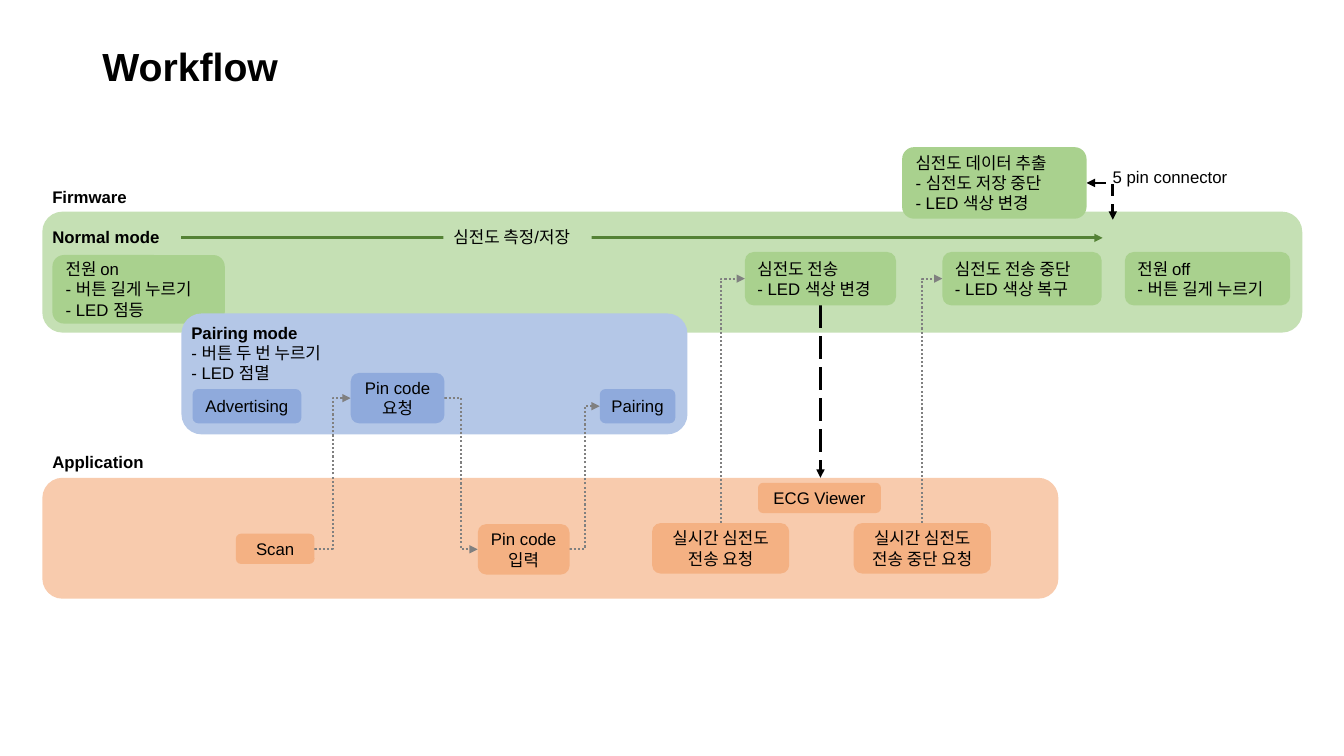
from dataclasses import dataclass
from typing import NamedTuple

from lxml.etree import SubElement
from pptx import Presentation
from pptx.dml.color import RGBColor
from pptx.enum.dml import MSO_LINE
from pptx.enum.shapes import MSO_CONNECTOR, MSO_SHAPE
from pptx.enum.text import MSO_ANCHOR, MSO_AUTO_SIZE, PP_ALIGN
from pptx.oxml.ns import qn
from pptx.util import Pt

COLORS = {
    "text": "000000", "firmware": "C5E0B4", "firmware step": "A9D18E",
    "pairing": "B4C7E7", "pairing step": "8FAADC",
    "application": "F8CBAD", "application step": "F4B183",
    "measuring": "548235", "request": "808080",
}
MARGIN = 30.24
BAND_HEIGHT = 86.4
LABEL_HEIGHT = 21.6
ARROW_Y = 169.92


@dataclass(frozen=True)
class Box:
    """A filled box, with points where links attach."""
    left: float
    top: float
    width: float
    height: float
    color: str
    lines: tuple[str, ...] = ()
    align: PP_ALIGN = PP_ALIGN.CENTER

    @property
    def west(self):
        return self.left, self.top + self.height / 2

    @property
    def east(self):
        return self.left + self.width, self.top + self.height / 2

    @property
    def north(self):
        return self.left + self.width / 2, self.top

    @property
    def south(self):
        return self.left + self.width / 2, self.top + self.height


class Label(NamedTuple):
    """Free text whose first line may be bold."""
    left: float
    top: float
    width: float
    height: float
    lines: tuple[str, ...]
    bold_lines: int = 1


class LinkStyle(NamedTuple):
    """Look of a link."""
    color: str
    width: float
    dash: MSO_LINE | None = None
    both_ends: bool = False


class Link(NamedTuple):
    """An arrow between two points; route is straight, step, across or up."""
    begin: tuple[float, float]
    end: tuple[float, float]
    style: LinkStyle
    route: str = "straight"


def color_of(name: str) -> RGBColor:
    """Look up a named colour."""
    return RGBColor.from_string(COLORS[name])


def write_text(shape, lines, *, size=12, bold_lines=0, align=PP_ALIGN.LEFT,
               anchor=MSO_ANCHOR.MIDDLE, wrap=True, spacing=1.0) -> None:
    """Write one paragraph for each line."""
    frame = shape.text_frame
    frame.word_wrap = wrap
    frame.auto_size = MSO_AUTO_SIZE.NONE if wrap else MSO_AUTO_SIZE.SHAPE_TO_FIT_TEXT
    frame.vertical_anchor = anchor
    for index, line in enumerate(lines):
        paragraph = frame.paragraphs[0] if index == 0 else frame.add_paragraph()
        paragraph.alignment = align
        paragraph.line_spacing = spacing
        run = paragraph.add_run()
        run.text = line
        run.font.name = "Arial"
        run.font.size = Pt(size)
        run.font.bold = index < bold_lines
        run.font.color.rgb = color_of("text")


def draw_box(slide, box: Box, preset=MSO_SHAPE.ROUNDED_RECTANGLE, **text_format) -> None:
    """Draw a borderless filled box."""
    shape = slide.shapes.add_shape(
        preset, Pt(box.left), Pt(box.top), Pt(box.width), Pt(box.height))
    shape.shadow.inherit = False
    shape.fill.solid()
    shape.fill.fore_color.rgb = color_of(box.color)
    shape.line.fill.background()
    write_text(shape, box.lines, align=box.align, **text_format)


def draw_label(slide, label: Label) -> None:
    """Draw a text box that fits its text."""
    shape = slide.shapes.add_textbox(
        Pt(label.left), Pt(label.top), Pt(label.width), Pt(label.height))
    write_text(shape, label.lines, bold_lines=label.bold_lines,
               anchor=MSO_ANCHOR.TOP, wrap=False)


def draw_link(slide, link: Link) -> None:
    """Draw an arrow along its route."""
    (x1, y1), (x2, y2) = link.begin, link.end
    if link.route == "up":  # a quarter turn swaps the two extents
        x, y = (x1 + x2) / 2, (y1 + y2) / 2
        run, rise = abs(y2 - y1) / 2, abs(x2 - x1) / 2
        x1, y1, x2, y2 = x + run, y + rise, x - run, y - rise
    kind = MSO_CONNECTOR.STRAIGHT if link.route == "straight" else MSO_CONNECTOR.ELBOW
    connector = slide.shapes.add_connector(kind, Pt(x1), Pt(y1), Pt(x2), Pt(y2))
    connector.line.color.rgb = color_of(link.style.color)
    connector.line.width = Pt(link.style.width)
    if link.style.dash is not None:
        connector.line.dash_style = link.style.dash
    properties = connector.element.spPr
    if link.route in ("across", "up"):
        properties.find(qn("a:prstGeom")).set("prst", "bentConnector2")
    if link.route == "up":
        properties.find(qn("a:xfrm")).set("rot", "5400000")
    line = properties.find(qn("a:ln"))
    if link.style.both_ends:
        SubElement(line, qn("a:headEnd"), type="triangle")
    SubElement(line, qn("a:tailEnd"), type="triangle")
    SubElement(properties, qn("a:effectLst"))


def firmware_step(left, top, width, height, *lines: str) -> Box:
    """Describe a left-aligned firmware step."""
    return Box(left, top, width, height, "firmware step", lines, PP_ALIGN.LEFT)


application = Box(MARGIN, 341.28, 725.76, BAND_HEIGHT, "application")
firmware = Box(MARGIN, 151.2, 900, BAND_HEIGHT, "firmware")
pairing_mode = Box(129.6, 223.92, 361.44, BAND_HEIGHT, "pairing")
measuring = Box(316.8, 158.4, 105.84, LABEL_HEIGHT, "firmware",
                ("심전도 측정/저장",), PP_ALIGN.LEFT)

power_on = firmware_step(37.44, 182.16, 123.12, 48.96,
                         "전원 on", "- 버튼 길게 누르기", "- LED 점등")
send = firmware_step(532.08, 180, 108, 38.16, "심전도 전송", "- LED 색상 변경")
stop = firmware_step(673.2, 180, 113.76, 38.16, "심전도 전송 중단", "- LED 색상 복구")
power_off = firmware_step(803.52, 180, 118.08, 38.16, "전원 off", "- 버튼 길게 누르기")
extract = firmware_step(644.4, 105.12, 131.76, 51.12, "심전도 데이터 추출",
                        "- 심전도 저장 중단", "- LED 색상 변경")

advertising = Box(137.52, 277.92, 77.76, 24.48, "pairing step", ("Advertising",))
pin_request = Box(250.56, 266.4, 66.96, 36, "pairing step", ("Pin code", "요청"))
pairing = Box(428.4, 277.92, 54, 24.48, "pairing step", ("Pairing",))

scan = Box(168.48, 381.24, 56.16, 21.6, "application step", ("Scan",))
pin_entry = Box(341.28, 374.4, 65.52, 36, "application step", ("Pin code", "입력"))
send_request = Box(465.84, 373.68, 97.92, 36, "application step",
                   ("실시간 심전도", "전송 요청"))
stop_request = Box(609.84, 373.68, 97.92, 36, "application step",
                   ("실시간 심전도", "전송 중단 요청"))
viewer = Box(541.44, 344.88, 87.84, 21.6, "application step", ("ECG Viewer",))

STEPS = (send, stop, power_off, advertising, pin_request, pairing, scan,
         pin_entry, send_request, stop_request, viewer, extract)
LABELS = (
    Label(MARGIN, 158.4, 95.04, LABEL_HEIGHT, ("Normal mode",)),
    Label(129.6, 226.8, 118.08, 51.12,
          ("Pairing mode", "- 버튼 두 번 누르기", "- LED 점멸")),
    Label(MARGIN, 129.6, 68.4, LABEL_HEIGHT, ("Firmware",)),
    Label(MARGIN, 318.96, 80.64, LABEL_HEIGHT, ("Application",)),
    Label(787.68, 115.92, 97.2, LABEL_HEIGHT, ("5 pin connector",), 0),
)
REQUEST = LinkStyle("request", 1.5, MSO_LINE.ROUND_DOT)
LINKS = (
    Link(send_request.north, send.west, REQUEST, "up"),
    Link(stop_request.north, stop.west, REQUEST, "up"),
    Link(scan.east, pin_request.west, REQUEST, "step"),
    Link(pin_request.east, pin_entry.west, REQUEST, "step"),
    Link(pin_entry.east, pairing.west, REQUEST, "step"),
    Link(send.south, (send.south[0], application.top),
         LinkStyle("text", 2, MSO_LINE.LONG_DASH)),
    Link(extract.east, (794.88, 156.96),
         LinkStyle("text", 2, MSO_LINE.DASH, both_ends=True), "across"),
)

presentation = Presentation()
presentation.slide_width, presentation.slide_height = Pt(960), Pt(540)
slide = presentation.slides.add_slide(presentation.slide_layouts[5])
title = slide.shapes.title
title.left, title.top, title.width, title.height = Pt(66), Pt(28.8), Pt(828), Pt(40.32)
write_text(title, ("Workflow",), size=28, bold_lines=1, spacing=0.9)

for band in (application, firmware):
    draw_box(slide, band)
draw_link(slide, Link((129.6, ARROW_Y), (787.68, ARROW_Y), LinkStyle("measuring", 2)))
draw_box(slide, measuring, MSO_SHAPE.RECTANGLE, anchor=MSO_ANCHOR.TOP, wrap=False)
draw_box(slide, power_on)
draw_box(slide, pairing_mode)
for link in LINKS:
    draw_link(slide, link)
for step in STEPS:
    draw_box(slide, step)
for label in LABELS:
    draw_label(slide, label)

presentation.save("out.pptx")
